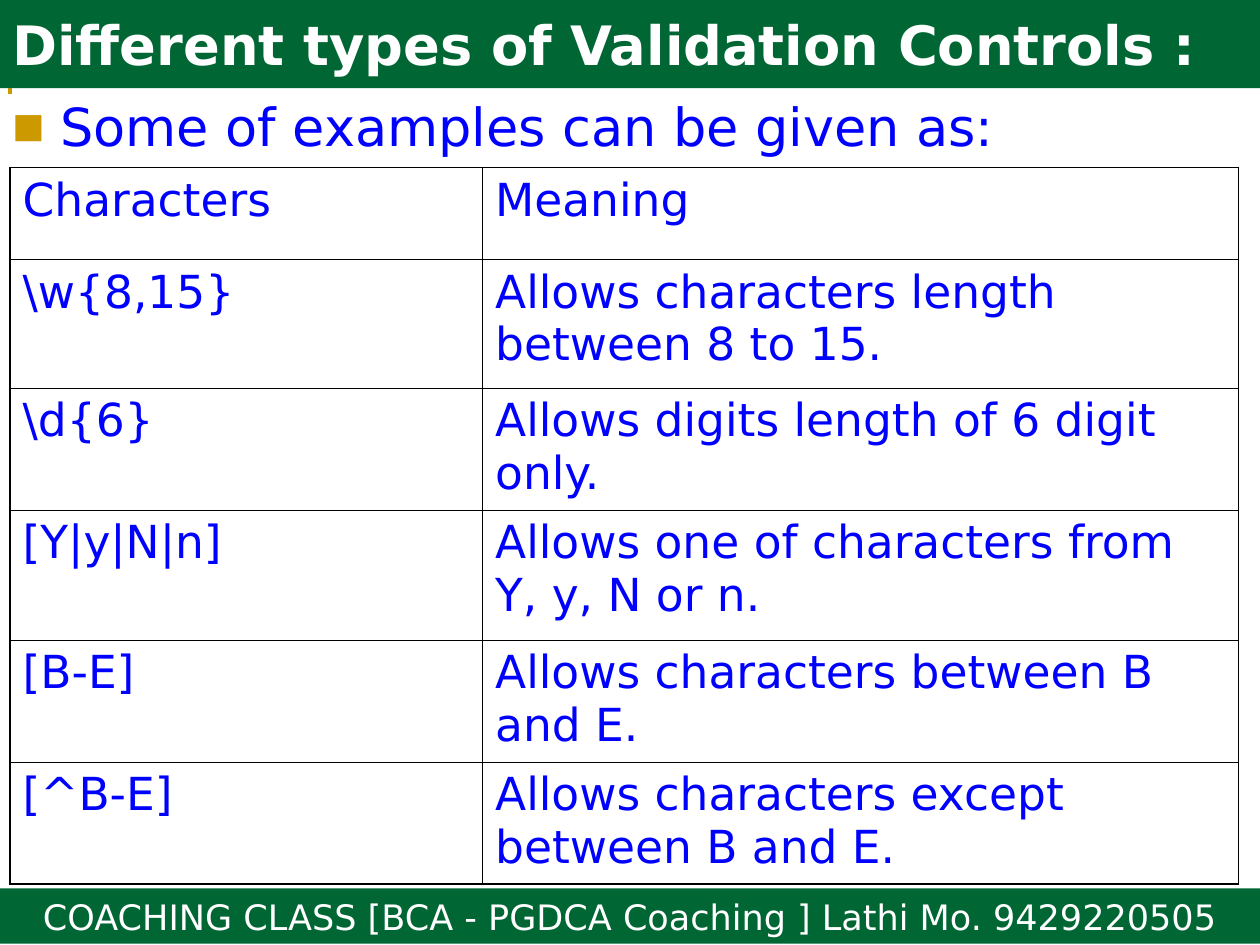
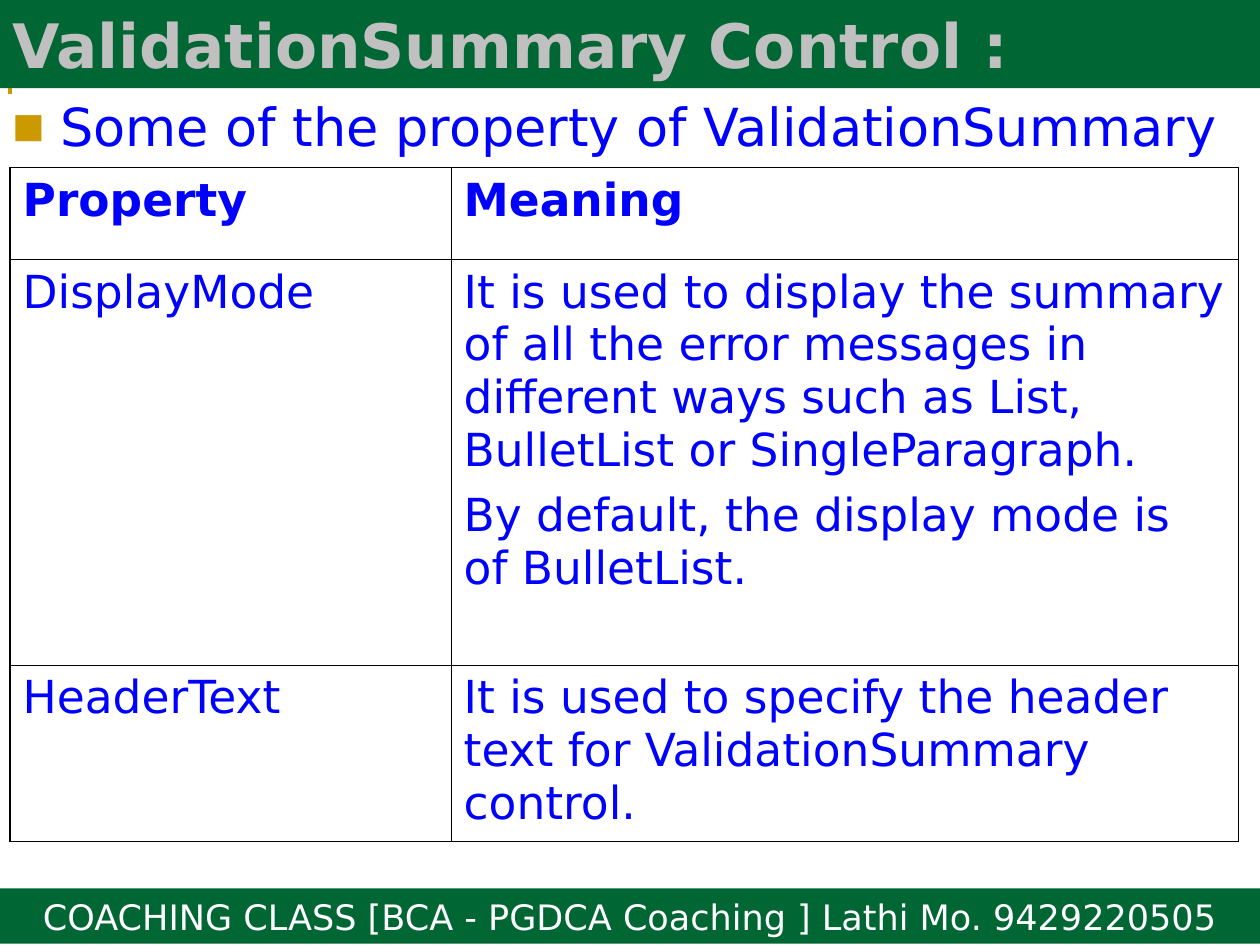
from lxml import etree
from pptx import Presentation
from pptx.dml.color import RGBColor
from pptx.enum.shapes import MSO_SHAPE
from pptx.enum.text import MSO_ANCHOR, PP_ALIGN
from pptx.oxml.ns import qn
from pptx.util import Inches, Pt

GREEN = RGBColor(0x00, 0x66, 0x33)
GOLD = RGBColor(0xCC, 0x99, 0x00)
BLUE = RGBColor(0x00, 0x00, 0xFF)
WHITE = RGBColor(0xFF, 0xFF, 0xFF)
SILVER = RGBColor(0xC0, 0xC0, 0xC0)
BLACK = RGBColor(0x00, 0x00, 0x00)
FONT = "DejaVu Sans"
FOOTER = "COACHING CLASS [BCA - PGDCA Coaching ] Lathi Mo. 9429220505"
OUTER, INNER = Pt(1.08), Pt(0.45)

LESSONS = [
    {
        "title": "Different types of Validation Controls :",
        "title_size": 31, "title_color": WHITE,
        "lead": "Some of examples can be given as:",
        "bold_header": False,
        "columns": [3.75, 6],
        "heights": [0.73, 1.02, 0.97, 1.03, 0.97, 0.97],
        "rows": [
            ("Characters", "Meaning"),
            (r"\w{8,15}", "Allows characters length between 8 to 15."),
            (r"\d{6}", "Allows digits length of 6 digit only."),
            ("[Y|y|N|n]", "Allows one of characters from Y, y, N or n."),
            ("[B-E]", "Allows characters between B and E."),
            ("[^B-E]", "Allows characters except between B and E."),
        ],
    },
    {
        "title": "ValidationSummary Control :",
        "title_size": 35, "title_color": SILVER,
        "lead": "Some of the property of ValidationSummary",
        "bold_header": True,
        "columns": [3.5, 6.25],
        "heights": [0.73, 3.22, 1.4],
        "rows": [
            ("Property", "Meaning"),
            ("DisplayMode",
             "It is used to display the summary of all the error messages in "
             "different ways such as List, BulletList or SingleParagraph.\n"
             "By default, the display mode is of BulletList."),
            ("HeaderText",
             "It is used to specify the header text for ValidationSummary control."),
        ],
    },
]


def write(frame, text, size, color, bold=False, align=PP_ALIGN.LEFT):
    """Fill a text frame, one paragraph for each line of text."""
    frame.word_wrap = True
    frame.text = text
    for number, para in enumerate(frame.paragraphs):
        para.alignment = align
        if number:
            para.space_before = Pt(6.5)
        for span in para.runs:
            look = {"name": FONT, "size": Pt(size), "bold": bold}
            for name, value in look.items():
                setattr(span.font, name, value)
            span.font.color.rgb = color


def add_band(page, top, height):
    band = page.shapes.add_shape(
        MSO_SHAPE.RECTANGLE, 0, Inches(top), Inches(10), Inches(height))
    band.shadow.inherit = False
    band.fill.solid()
    band.fill.fore_color.rgb = GREEN
    band.line.fill.background()
    band.text_frame.vertical_anchor = MSO_ANCHOR.MIDDLE
    return band.text_frame


deck = Presentation()
deck.slide_width, deck.slide_height = Inches(10), Inches(7.5)

for lesson in LESSONS:
    page = deck.slides.add_slide(deck.slide_layouts[6])

    # Footer, gold corner line and title band
    write(add_band(page, 7.05, 0.44), FOOTER, 20, WHITE, align=PP_ALIGN.CENTER)

    builder = page.shapes.build_freeform(Inches(0.08), Inches(0.75))
    builder.add_line_segments(
        [(Inches(0.08), Inches(0.08)), (Inches(9.83), Inches(0.08))], close=False)
    corner = builder.convert_to_shape()
    corner.shadow.inherit = False
    corner.fill.background()
    corner.line.color.rgb = GOLD
    corner.line.width = Pt(2.25)

    write(add_band(page, 0, 0.7), lesson["title"], lesson["title_size"],
          lesson["title_color"], bold=True)

    # Bulleted lead line
    lead = page.shapes.add_textbox(0, Inches(0.75), Inches(10), Inches(0.58))
    write(lead.text_frame, lesson["lead"], 30, BLUE)
    para = lead.text_frame.paragraphs[0]
    para.line_spacing = 0.9
    props = para._p.get_or_add_pPr()
    props.set("marL", str(Inches(0.38)))
    props.set("indent", str(-Inches(0.38)))
    bullet_color = etree.SubElement(props, qn("a:buClr"))
    etree.SubElement(bullet_color, qn("a:srgbClr"), val=str(GOLD))
    etree.SubElement(props, qn("a:buSzPct"), val="65000")
    etree.SubElement(props, qn("a:buFont"), typeface=FONT)
    etree.SubElement(props, qn("a:buChar"), char="■")

    # Table with a heavier outer frame
    rows, columns, heights = lesson["rows"], lesson["columns"], lesson["heights"]
    table = page.shapes.add_table(
        len(rows), len(columns), Inches(0.08), Inches(1.33),
        Inches(sum(columns)), Inches(sum(heights))).table
    table.first_row = table.horz_banding = False
    for column, width in zip(table.columns, columns):
        column.width = Inches(width)
    for row, height in zip(table.rows, heights):
        row.height = Inches(height)

    for r, texts in enumerate(rows):
        for c, text in enumerate(texts):
            cell = table.cell(r, c)
            write(cell.text_frame, text, 26, BLUE,
                  bold=lesson["bold_header"] and r == 0)
            on_frame = {
                "a:lnL": c == 0,
                "a:lnR": c == len(columns) - 1,
                "a:lnT": r == 0,
                "a:lnB": r == len(rows) - 1,
            }
            cell_props = cell._tc.get_or_add_tcPr()
            for side, outer in on_frame.items():
                border = etree.SubElement(
                    cell_props, qn(side), w=str(OUTER if outer else INNER))
                paint = etree.SubElement(border, qn("a:solidFill"))
                etree.SubElement(paint, qn("a:srgbClr"), val=str(BLACK))
            cell.fill.background()

deck.save("out.pptx")
